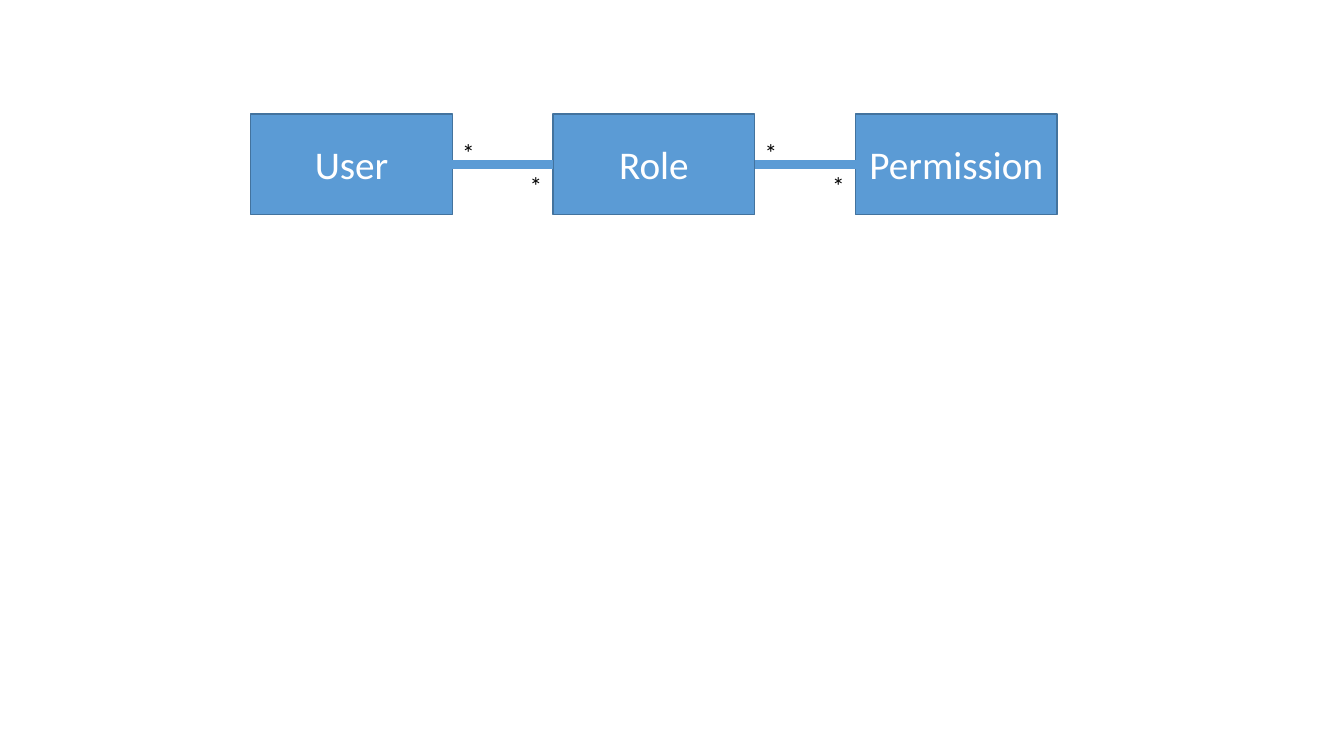
import pptx
import pptx.util
import pptx.dml.color
import pptx.enum.shapes
import pptx.enum.text
import pptx.oxml.ns
import lxml.etree

Cm, Pt = pptx.util.Cm, pptx.util.Pt
PP_ALIGN = pptx.enum.text.PP_ALIGN
MSO_ANCHOR = pptx.enum.text.MSO_ANCHOR

# Content
ENTITIES = ["User", "Role", "Permission"]
MULTIPLICITY = "*"

# Layout in cm
LEFT, TOP = 6.32, 2.87
BOX_W, BOX_H = 5.08, 2.54
GAP = 2.54
STAR_W, STAR_H = 0.84, 1.02
STAR_TOPS = (3.33, 4.17)

BLUE, EDGE, WHITE, BLACK = "5B9BD5", "43739E", "FFFFFF", "000000"


def color(value):
    return pptx.dml.color.RGBColor.from_string(value)


def add_text(tf, text, size, fill, align):
    p = tf.paragraphs[0]
    p.alignment = align
    r = p.add_run()
    r.text = text
    r.font.name = "Calibri"
    r.font.size = Pt(size)
    r.font.color.rgb = color(fill)


def add_entity(s, name, x):
    sp = s.shapes.add_shape(pptx.enum.shapes.MSO_SHAPE.RECTANGLE,
                            Cm(x), Cm(TOP), Cm(BOX_W), Cm(BOX_H))
    sp.shadow.inherit = False
    sp.fill.solid()
    sp.fill.fore_color.rgb = color(BLUE)
    sp.line.color.rgb = color(EDGE)
    sp.line.width = Pt(1)
    tf = sp.text_frame
    tf.word_wrap = True
    tf.vertical_anchor = MSO_ANCHOR.MIDDLE
    add_text(tf, name, 28, WHITE, PP_ALIGN.CENTER)
    return sp


def add_link(s, start, end):
    y = start.top + start.height // 2
    line = s.shapes.add_connector(pptx.enum.shapes.MSO_CONNECTOR.STRAIGHT,
                                  start.left + start.width, y, end.left, y)
    line.begin_connect(start, 3)
    line.end_connect(end, 1)
    line.line.color.rgb = color(BLUE)
    line.line.width = Pt(6)
    lxml.etree.SubElement(line._element.spPr, pptx.oxml.ns.qn("a:effectLst"))


def add_multiplicity(s, x, y):
    tb = s.shapes.add_textbox(Cm(x), Cm(y), Cm(STAR_W), Cm(STAR_H))
    tf = tb.text_frame
    tf.word_wrap = False
    tf.auto_size = pptx.enum.text.MSO_AUTO_SIZE.SHAPE_TO_FIT_TEXT
    add_text(tf, MULTIPLICITY, 18, BLACK, PP_ALIGN.LEFT)


def main():
    prs = pptx.Presentation()
    prs.slide_width, prs.slide_height = Cm(33.87), Cm(19.05)
    s = prs.slides.add_slide(prs.slide_layouts[6])

    # Entity boxes
    xs = [LEFT + i * (BOX_W + GAP) for i in range(len(ENTITIES))]
    boxes = [add_entity(s, name, x) for name, x in zip(ENTITIES, xs)]

    # Many-to-many links, with a star at each end
    for i in range(len(boxes) - 1):
        add_link(s, boxes[i], boxes[i + 1])
        add_multiplicity(s, xs[i] + BOX_W, STAR_TOPS[0])
        add_multiplicity(s, xs[i + 1] - STAR_W, STAR_TOPS[1])

    prs.save("out.pptx")


if __name__ == "__main__":
    main()
